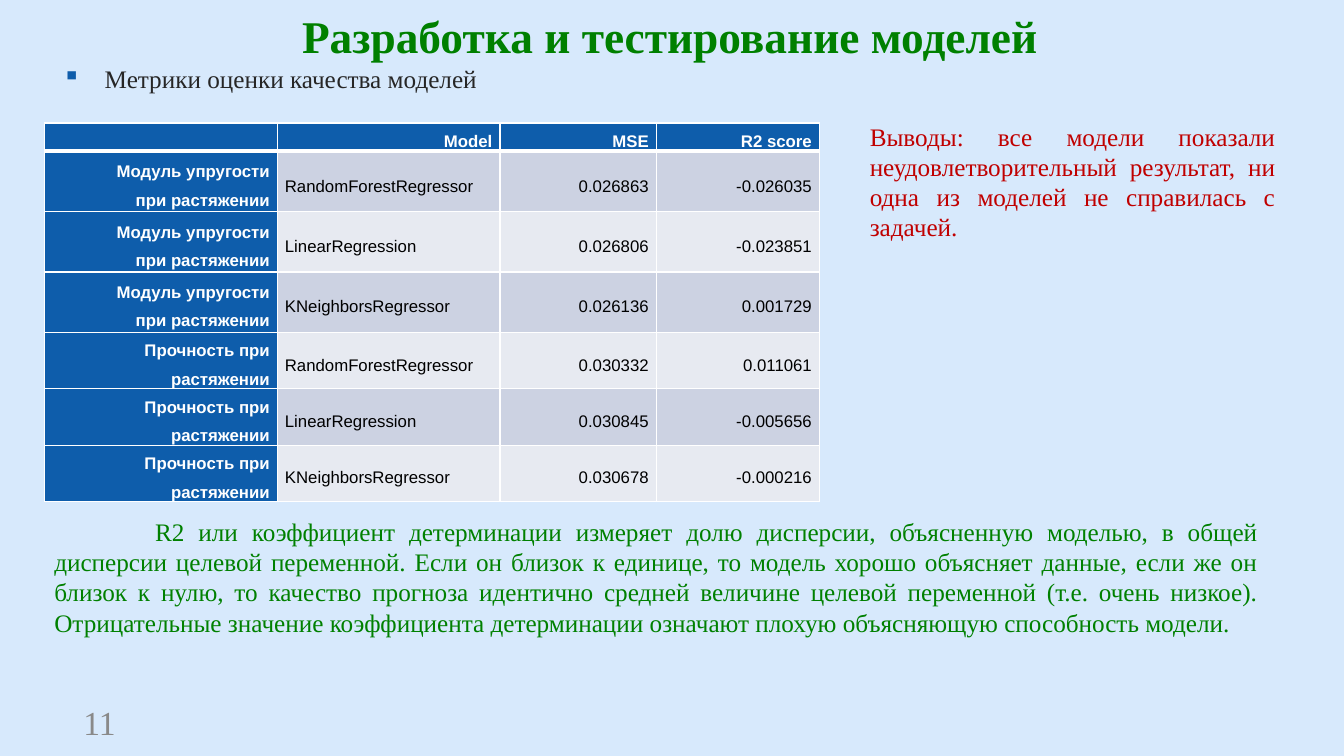
import pptx
import pptx.dml.color
import pptx.enum.text
import pptx.oxml.ns
import pptx.util
from lxml import etree
from pptx.util import Cm

COLORS = {
    "background": "D7E9FC",
    "green": "008000",
    "red": "C00000",
    "blue": "0E5DAB",
    "dark": "262626",
    "gray": "898989",
    "black": "000000",
    "white": "FFFFFF",
    "odd_row": "CCD2E2",
    "even_row": "E7EAF1",
}
ALIGN = pptx.enum.text.PP_ALIGN
ANCHOR = pptx.enum.text.MSO_ANCHOR
AUTO_SIZE = pptx.enum.text.MSO_AUTO_SIZE

HEADER = ["", "Model", "MSE", "R2 score"]
MODELS = ["RandomForestRegressor", "LinearRegression", "KNeighborsRegressor"]
RESULTS = {
    "Модуль упругости при растяжении": [
        ("0.026863", "-0.026035"),
        ("0.026806", "-0.023851"),
        ("0.026136", "0.001729"),
    ],
    "Прочность при растяжении": [
        ("0.030332", "0.011061"),
        ("0.030845", "-0.005656"),
        ("0.030678", "-0.000216"),
    ],
}
COLUMN_WIDTHS = [5.87, 5.61, 3.94, 4.11]
ROW_HEIGHTS = [0.56] + [1.52] * 3 + [1.22] * 3

CONCLUSION = (
    "Выводы: все модели показали неудовлетворительный результат, "
    "ни одна из моделей не справилась с задачей."
)
EXPLANATION = (
    "R2 или коэффициент детерминации измеряет долю дисперсии, объясненную моделью, "
    "в общей дисперсии целевой переменной. Если он близок к единице, то модель хорошо "
    "объясняет данные, если же он близок к нулю, то качество прогноза идентично средней "
    "величине целевой переменной (т.е. очень низкое). Отрицательные значение коэффициента "
    "детерминации означают плохую объясняющую способность модели."
)


def rgb(name):
    return pptx.dml.color.RGBColor.from_string(COLORS[name])


def add_color(parent, name):
    color = etree.SubElement(parent, pptx.oxml.ns.qn("a:srgbClr"))
    color.set("val", COLORS[name])


def write_text(text_frame, text, size=18, font="Times New Roman", color="black", bold=False,
               align=ALIGN.LEFT, spacing=1.0, margin=0, indent=0, bullet=None):
    paragraph = text_frame.paragraphs[0]
    paragraph.alignment = align
    paragraph.line_spacing = spacing
    properties = paragraph._p.get_or_add_pPr()
    properties.set("marL", str(Cm(margin)))
    properties.set("indent", str(Cm(indent)))
    if bullet:
        bullet_color = etree.SubElement(properties, pptx.oxml.ns.qn("a:buClr"))
        add_color(bullet_color, "blue")
        etree.SubElement(properties, pptx.oxml.ns.qn("a:buChar")).set("char", bullet)
    run = paragraph.add_run()
    run.text = text
    run.font.size = pptx.util.Pt(size)
    run.font.name = font
    run.font.bold = bold
    run.font.color.rgb = rgb(color)


def add_text_box(slide, left, top, width, height, text, anchor=ANCHOR.TOP,
                 auto_size=AUTO_SIZE.NONE, margin_top=0.13, **text_format):
    shape = slide.shapes.add_textbox(Cm(left), Cm(top), Cm(width), Cm(height))
    text_frame = shape.text_frame
    text_frame.word_wrap = True
    text_frame.auto_size = auto_size
    text_frame.vertical_anchor = anchor
    text_frame.margin_top = Cm(margin_top)
    write_text(text_frame, text, **text_format)


def set_borders(cell, top=1, bottom=1):
    properties = cell._tc.get_or_add_tcPr()
    for side, width in (("L", 1), ("R", 1), ("T", top), ("B", bottom)):
        line = etree.SubElement(properties, pptx.oxml.ns.qn("a:ln" + side))
        line.set("w", str(pptx.util.Pt(width)))
        add_color(etree.SubElement(line, pptx.oxml.ns.qn("a:solidFill")), "white")


def fill_cell(cell, text, row, column):
    heading = row == 0 or column == 0
    model_name = row > 0 and column == 1
    set_borders(cell, top=3 if row == 1 else 1, bottom=3 if row == 0 else 1)
    cell.fill.solid()
    cell.fill.fore_color.rgb = rgb("blue" if heading else "odd_row" if row % 2 else "even_row")
    cell.vertical_anchor = ANCHOR.MIDDLE
    cell.margin_left = cell.margin_right = Cm(0.19)
    cell.margin_top = cell.margin_bottom = 0
    write_text(cell.text_frame, text, size=12, font="Arial", bold=heading,
               color="white" if heading else "black", spacing=1.5,
               align=ALIGN.LEFT if model_name else ALIGN.RIGHT,
               indent=0 if model_name else 1.25)


def add_metrics_table(slide, left, top):
    rows = [HEADER] + [
        [target, model, *scores]
        for target, target_scores in RESULTS.items()
        for model, scores in zip(MODELS, target_scores)
    ]
    frame = slide.shapes.add_table(len(rows), len(HEADER), Cm(left), Cm(top),
                                   Cm(sum(COLUMN_WIDTHS)), Cm(sum(ROW_HEIGHTS)))
    table = frame.table
    for column, width in zip(table.columns, COLUMN_WIDTHS):
        column.width = Cm(width)
    for row, height in zip(table.rows, ROW_HEIGHTS):
        row.height = Cm(height)
    for row, values in enumerate(rows):
        for column, text in enumerate(values):
            fill_cell(table.cell(row, column), text, row, column)


def main():
    presentation = pptx.Presentation()
    presentation.slide_width = Cm(33.87)
    presentation.slide_height = Cm(19.05)
    slide = presentation.slides.add_slide(presentation.slide_layouts[6])
    slide.background.fill.solid()
    slide.background.fill.fore_color.rgb = rgb("background")

    add_text_box(slide, 1.12, 0.36, 31.52, 2.31, "Разработка и тестирование моделей",
                 margin_top=0, size=32.4, color="green", bold=True,
                 align=ALIGN.CENTER, spacing=0.9)
    add_text_box(slide, 1.85, 17.68, 2.34, 1.02, "11", anchor=ANCHOR.MIDDLE,
                 size=24, color="gray")
    add_text_box(slide, 1.12, 1.55, 31.52, 15.6, "Метрики оценки качества моделей",
                 color="dark", spacing=0.9, margin=1.27, indent=-1.07, bullet="▪")
    add_metrics_table(slide, 1.12, 3.1)
    add_text_box(slide, 21.67, 2.92, 10.72, 3.94, CONCLUSION, color="red",
                 align=ALIGN.JUSTIFY, auto_size=AUTO_SIZE.SHAPE_TO_FIT_TEXT)
    add_text_box(slide, 1.12, 12.88, 30.84, 3.94, EXPLANATION, color="green",
                 align=ALIGN.JUSTIFY, indent=2.54, auto_size=AUTO_SIZE.SHAPE_TO_FIT_TEXT)
    presentation.save("out.pptx")


if __name__ == "__main__":
    main()
